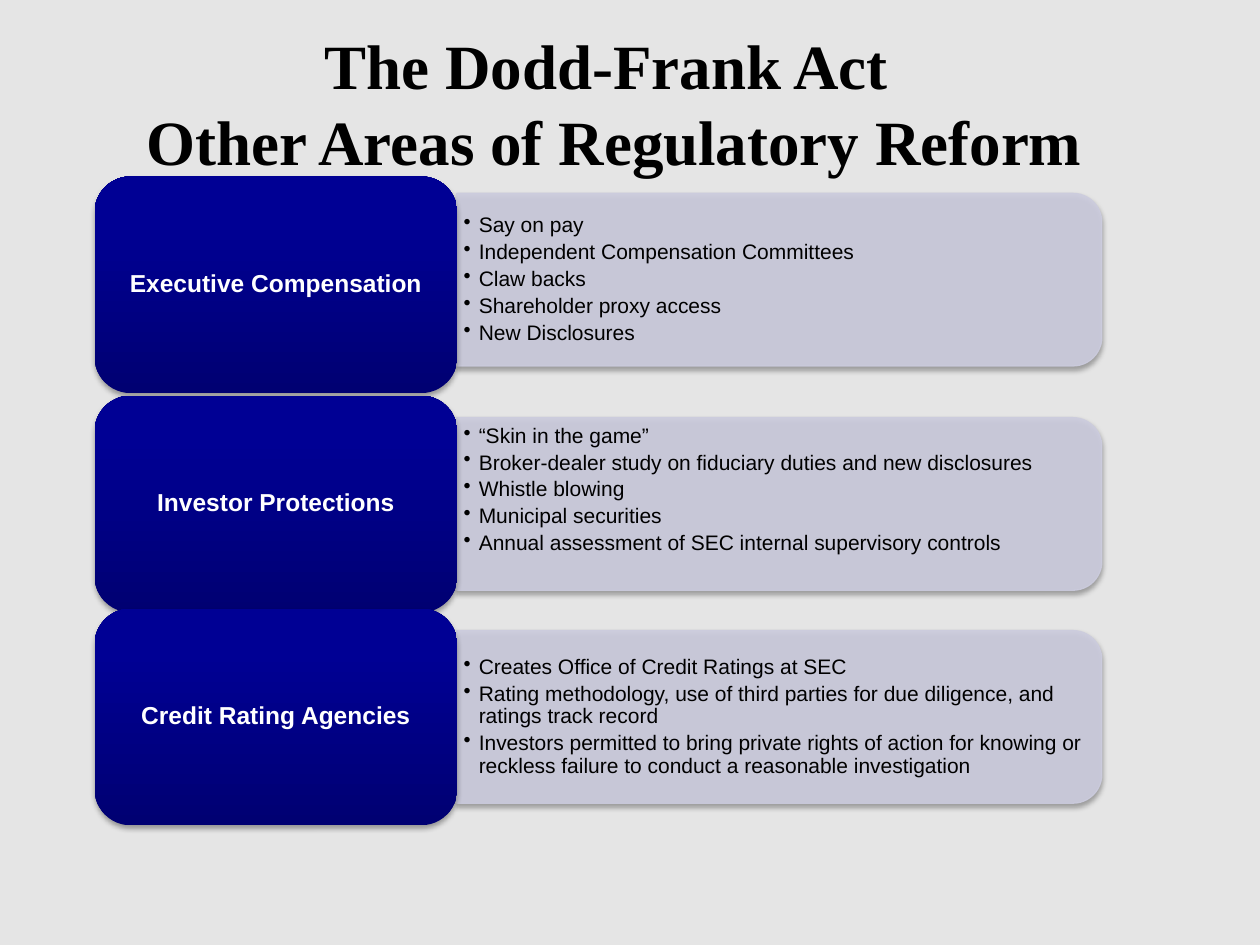
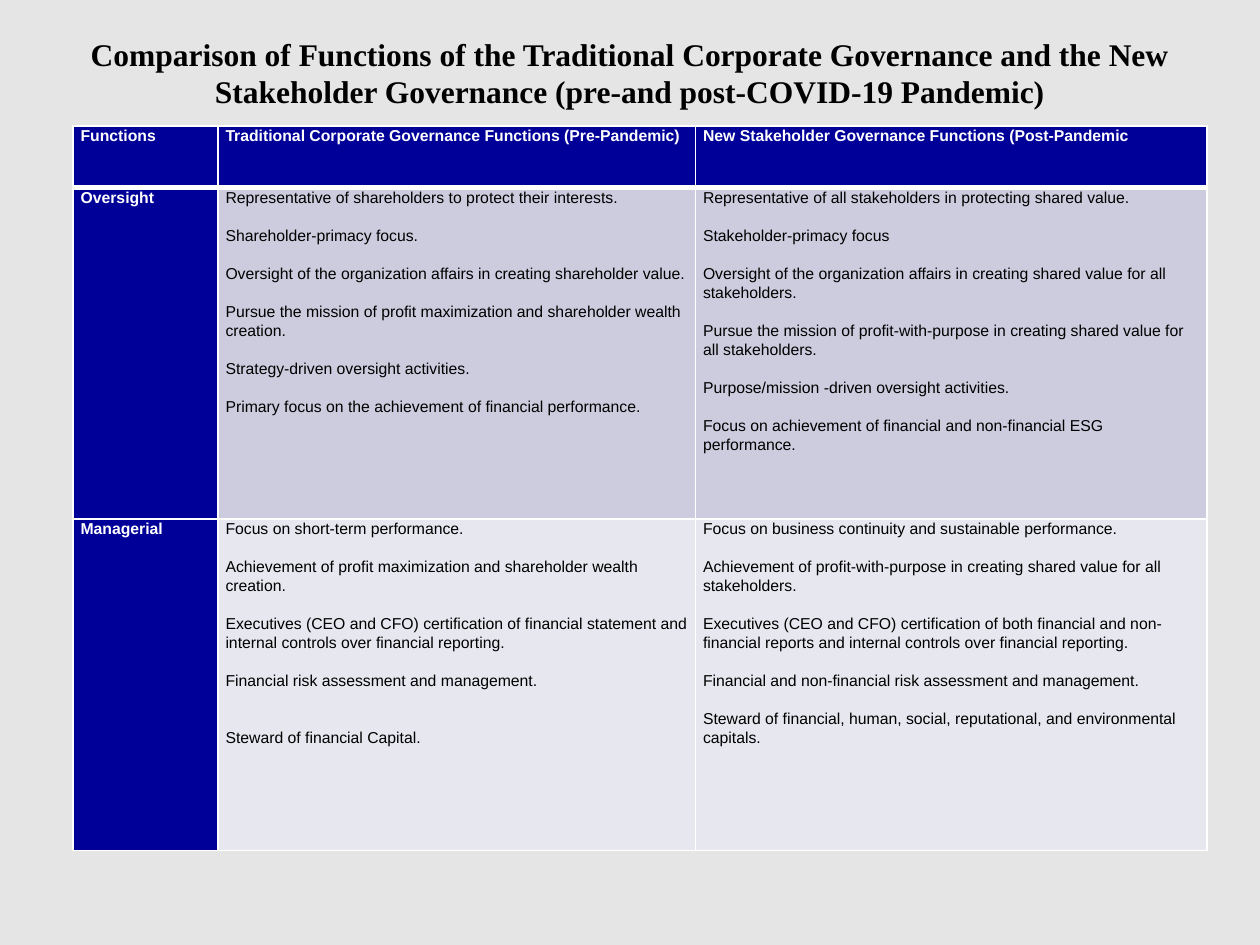
from dataclasses import dataclass

from lxml.etree import SubElement
from pptx import Presentation
from pptx.dml.color import RGBColor as Rgb
from pptx.enum.shapes import MSO_SHAPE as Preset
from pptx.enum.text import MSO_ANCHOR as Anchor, PP_ALIGN as Align
from pptx.oxml.ns import qn
from pptx.util import Emu, Inches, Pt

COLUMNS, ROWS = 40, 30  # grid over the whole slide


@dataclass(frozen=True)
class Theme:
    page: str = "E5E5E5"
    ink: str = "000000"
    white: str = "FFFFFF"
    navy: str = "000099"
    label_bottom: str = "000072"
    label_top: str = "000094"
    lavender: str = "CCCCDE"
    pale: str = "E7E7EF"
    title_font: str = "Times New Roman"
    body_font: str = "Arial"
    large_title: int = 36
    small_title: int = 18
    label_size: int = 14
    bullet_size: int = 12
    table_size: int = 9
    table_gap: int = 11


class Builder:
    """Holds the theme and the current slide; places elements on the grid."""

    def __init__(self, deck, theme):
        self.deck, self.theme = deck, theme
        self.page = None

    # Grid and slide
    def col(self, count):
        return Emu(round(self.deck.slide_width * count / COLUMNS))

    def row(self, count):
        return Emu(round(self.deck.slide_height * count / ROWS))

    def area(self, left, top, width, height):
        return self.col(left), self.row(top), self.col(width), self.row(height)

    def new_page(self):
        self.page = self.deck.slides.add_slide(self.deck.slide_layouts[6])
        fill = self.page.background.fill
        fill.solid()
        fill.fore_color.rgb = Rgb.from_string(self.theme.page)

    # Shared styling
    def frame(self, frame, anchor, side=0.0, edge=0.0):
        frame.word_wrap = True
        frame.vertical_anchor = anchor
        frame.margin_left = frame.margin_right = Inches(side)
        frame.margin_top = frame.margin_bottom = Inches(edge)

    def format(self, para, size, color, bold=False, font=None):
        for span in para.runs:
            span.font.name = font or self.theme.body_font
            span.font.size = Pt(size)
            span.font.bold = bold
            span.font.color.rgb = Rgb.from_string(color)

    def shadow(self, shape):
        shape.shadow.inherit = False
        effects = shape._element.spPr.find(qn("a:effectLst"))
        outer = SubElement(effects, qn("a:outerShdw"), blurRad=str(Pt(3.1)),
                           dist=str(Pt(1.8)), dir="5400000", rotWithShape="0")
        color = SubElement(outer, qn("a:srgbClr"), val=self.theme.ink)
        SubElement(color, qn("a:alpha"), val="35000")

    # Elements
    def title(self, text, size, left, top, width, height):
        box = self.page.shapes.add_textbox(*self.area(left, top, width, height))
        self.frame(box.text_frame, Anchor.BOTTOM)
        box.text_frame.text = text
        para = box.text_frame.paragraphs[0]
        para.alignment = Align.CENTER
        self.format(para, size, self.theme.ink, True, self.theme.title_font)

    def band(self, left, top, width, height):
        x, y, wide, high = self.area(left, top, width, height)
        # The upright shape is turned a quarter about its centre
        shape = self.page.shapes.add_shape(
            Preset.ROUND_2_SAME_RECTANGLE,
            x + (wide - high) // 2, y + (high - wide) // 2, high, wide)
        shape.rotation = 90
        shape.fill.solid()
        shape.line.width = Pt(0.75)
        shape.line.fill.solid()
        for fill in (shape.fill, shape.line.fill):
            fill.fore_color.rgb = Rgb.from_string(self.theme.lavender)
        for color in shape._element.spPr.iter(qn("a:srgbClr")):
            SubElement(color, qn("a:alpha"), val="90000")
        self.shadow(shape)

    def label(self, text, left, top, width, height):
        shape = self.page.shapes.add_shape(
            Preset.ROUNDED_RECTANGLE, *self.area(left, top, width, height))
        shape.fill.gradient()
        shape.fill.gradient_angle = 90
        shades = ((0, self.theme.label_bottom), (0.8, self.theme.label_top))
        for stop, (position, color) in zip(shape.fill.gradient_stops, shades):
            stop.position = position
            stop.color.rgb = Rgb.from_string(color)
        shape.line.fill.background()
        self.shadow(shape)
        self.frame(shape.text_frame, Anchor.MIDDLE, 0.06, 0.03)
        shape.text_frame.text = text
        para = shape.text_frame.paragraphs[0]
        para.alignment = Align.CENTER
        para.line_spacing = 0.9
        self.format(para, self.theme.label_size, self.theme.white, True)

    def bullets(self, lines, left, top, width, height, lift):
        box = self.page.shapes.add_textbox(*self.area(left, top, width, height))
        frame = box.text_frame
        self.frame(frame, Anchor.MIDDLE, 0.05, 0.03)
        frame.margin_bottom = Inches(0.03 + lift)
        frame.text = "\n".join(lines)
        for para in frame.paragraphs:
            settings = para._p.get_or_add_pPr()
            settings.set("marL", str(Inches(0.12)))
            settings.set("indent", str(Inches(-0.12)))
            SubElement(settings, qn("a:buChar"), char="•")
            para.line_spacing = 0.9
            para.space_after = Pt(2.4)
            self.format(para, self.theme.bullet_size, self.theme.ink)

    def cell(self, cell, lines, fill, color, bold, rules, wide_gaps):
        settings = cell._tc.get_or_add_tcPr()
        for side, width in rules.items():
            line = SubElement(settings, qn(f"a:ln{side}"), w=str(Pt(width)))
            paint = SubElement(line, qn("a:solidFill"))
            SubElement(paint, qn("a:srgbClr"), val=self.theme.white)
        cell.fill.solid()
        cell.fill.fore_color.rgb = Rgb.from_string(fill)
        cell.margin_left = cell.margin_right = Inches(0.06)
        cell.margin_top = cell.margin_bottom = 0
        cell.text_frame.text = "\n".join(lines)
        for index, para in enumerate(cell.text_frame.paragraphs):
            para.line_spacing = 1.07
            if index:
                gaps = 2 if para.text in wide_gaps else 1
                para.space_before = Pt(gaps * self.theme.table_gap)
            self.format(para, self.theme.table_size, color, bold)

    def table(self, records, left, top, widths, heights, wide_gaps=()):
        theme = self.theme
        place = self.area(left, top, sum(widths), sum(heights))
        table = self.page.shapes.add_table(len(heights), len(widths), *place).table
        table.horz_banding = False
        for column, width in zip(table.columns, widths):
            column.width = self.col(width)
        for line, height in zip(table.rows, heights):
            line.height = self.row(height)
        body_fills = (theme.lavender, theme.pale)
        for r, record in enumerate(records):
            rules = {"L": 1, "R": 1, "T": 3 if r == 1 else 1, "B": 3 if r == 0 else 1}
            for c, lines in enumerate(record):
                heading = r == 0 or c == 0
                fill = theme.navy if heading else body_fills[(r - 1) % 2]
                color = theme.white if heading else theme.ink
                self.cell(table.cell(r, c), lines, fill, color, heading, rules, wide_gaps)


# Reform areas: label, label top, band top, bullet lift in inches, bullets
REFORM_AREAS = [
    ("Executive Compensation", 5.6, 6.14, 0, [
        "Say on pay",
        "Independent Compensation Committees",
        "Claw backs",
        "Shareholder proxy access",
        "New Disclosures",
    ]),
    ("Investor Protections", 12.56, 13.26, 0.22, [
        "“Skin in the game”",
        "Broker-dealer study on fiduciary duties and new disclosures",
        "Whistle blowing",
        "Municipal securities",
        "Annual assessment of SEC internal supervisory controls",
    ]),
    ("Credit Rating Agencies", 19.32, 20.02, 0, [
        "Creates Office of Credit Ratings at SEC",
        "Rating methodology, use of third parties for due diligence, and ratings track record",
        "Investors permitted to bring private rights of action for knowing or "
        "reckless failure to conduct a reasonable investigation",
    ]),
]

FINANCIAL_STEWARD = "Steward of financial Capital."
GOVERNANCE = [
    [["Functions"],
     ["Traditional Corporate Governance Functions (Pre-Pandemic)"],
     ["New Stakeholder Governance Functions (Post-Pandemic"]],
    [["Oversight"],
     ["Representative of shareholders to protect their interests.",
      "Shareholder-primacy focus.",
      "Oversight of the organization affairs in creating shareholder value.",
      "Pursue the mission of profit maximization and shareholder wealth creation.",
      "Strategy-driven oversight activities.",
      "Primary focus on the achievement of financial performance."],
     ["Representative of all stakeholders in protecting shared value.",
      "Stakeholder-primacy focus",
      "Oversight of the organization affairs in creating shared value for all stakeholders.",
      "Pursue the mission of profit-with-purpose in creating shared value for all stakeholders.",
      "Purpose/mission -driven oversight activities.",
      "Focus on achievement of financial and non-financial ESG performance."]],
    [["Managerial"],
     ["Focus on short-term performance.",
      "Achievement of profit maximization and shareholder wealth creation.",
      "Executives (CEO and CFO) certification of financial statement and "
      "internal controls over financial reporting.",
      "Financial risk assessment and management.",
      FINANCIAL_STEWARD],
     ["Focus on business continuity and sustainable performance.",
      "Achievement of profit-with-purpose in creating shared value for all stakeholders.",
      "Executives (CEO and CFO) certification of both financial and "
      "non-financial reports and internal controls over financial reporting.",
      "Financial and non-financial risk assessment and management.",
      "Steward of financial, human, social, reputational, and environmental capitals."]],
]


def reform_page(builder):
    builder.new_page()
    builder.title("The Dodd-Frank Act \vOther Areas of Regulatory Reform",
                  builder.theme.large_title, 0, 0.64, 39, 5)
    for name, label_top, band_top, lift, lines in REFORM_AREAS:
        builder.band(14.5, band_top, 20.48, 5.48)
        builder.bullets(lines, 14.52, band_top + 0.26, 20.2, 4.96, lift)
        builder.label(name, 3, label_top, 11.52, 6.88)


def governance_page(builder):
    builder.new_page()
    builder.title("Comparison of Functions of the Traditional Corporate Governance and the "
                  "New Stakeholder Governance (pre-and post-COVID-19 Pandemic)",
                  builder.theme.small_title, 1, 1, 38, 2.5)
    builder.table(GOVERNANCE, 2.32, 4, widths=(4.6, 15.16, 16.24),
                  heights=(1.96, 10.52, 10.52), wide_gaps={FINANCIAL_STEWARD})


def main():
    deck = Presentation()
    deck.slide_width, deck.slide_height = Inches(10), Inches(7.5)
    builder = Builder(deck, Theme())
    reform_page(builder)
    governance_page(builder)
    deck.save("out.pptx")


if __name__ == "__main__":
    main()
